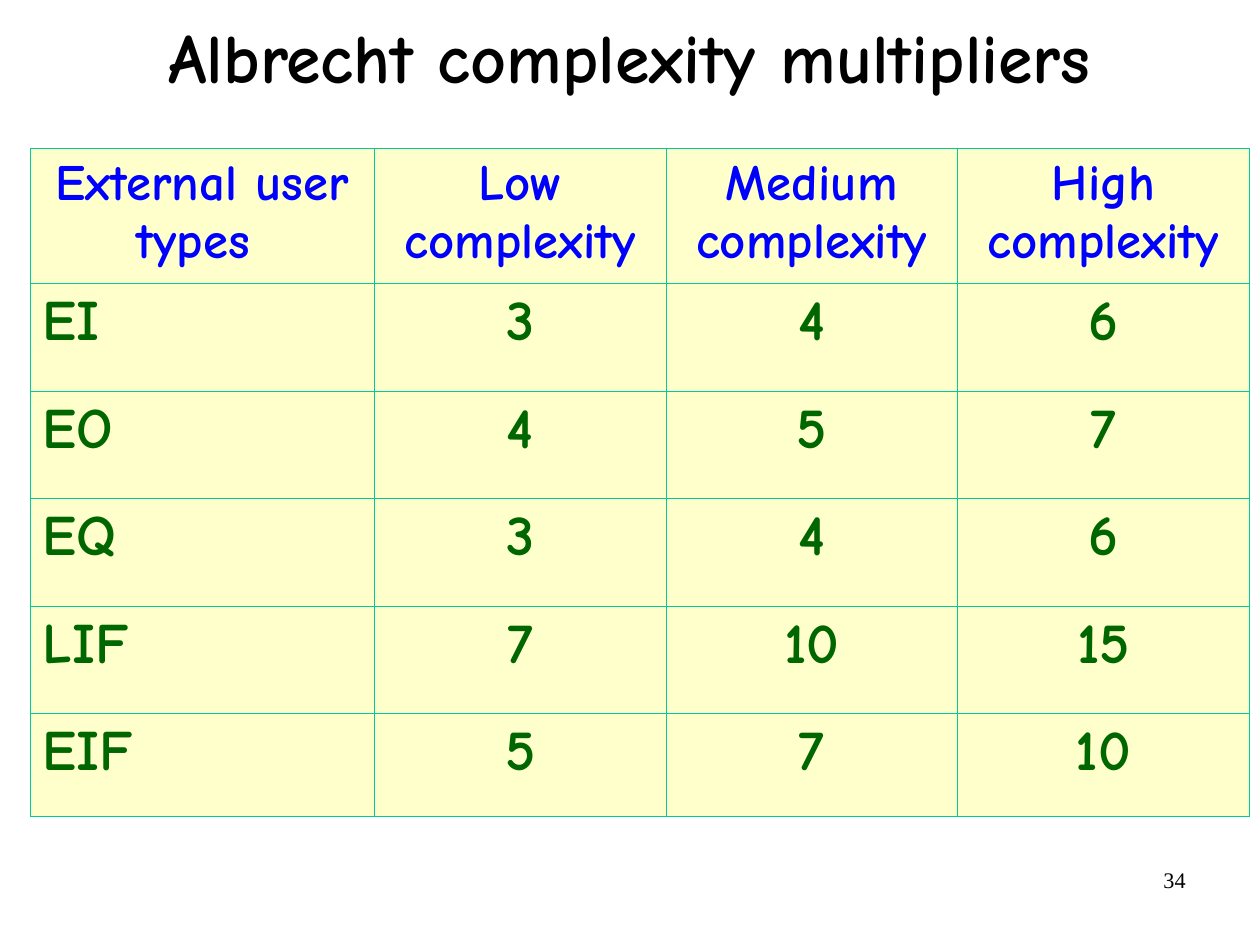
from dataclasses import dataclass

from lxml import etree
from pptx import Presentation
from pptx.dml.color import RGBColor
from pptx.enum.text import MSO_ANCHOR, PP_ALIGN
from pptx.oxml.ns import qn
from pptx.util import Cm, Pt

LEFT, MID, RIGHT = PP_ALIGN.LEFT, PP_ALIGN.CENTER, PP_ALIGN.RIGHT
TOP, MIDDLE = MSO_ANCHOR.TOP, MSO_ANCHOR.MIDDLE


@dataclass(frozen=True)
class Theme:
    face: str = "Comic Neue"
    serif: str = "Times New Roman"
    ink: str = "000000"
    head: str = "0000FF"
    body: str = "006600"
    cell: str = "FFFFCC"
    rule: str = "00CC99"
    title_size: int = 44
    head_size: int = 32
    body_size: int = 36
    page_size: int = 14
    rule_size: float = 0.45


THEME = Theme()

ROWS = [
    ("External user types ", "Low complexity", "Medium complexity", "High complexity"),
    ("EI", "3", "4", "6"),
    ("EO", "4", "5", "7"),
    ("EQ", "3", "4", "6"),
    ("LIF", "7", "10", "15"),
    ("EIF", "5", "7", "10"),
]
WIDTHS = [7.65] + [6.48] * 3
HEIGHTS = [3] + [2.39] * 4 + [2.28]


def write(frame, text, size, color, align, face=THEME.face, bold=True):
    frame.word_wrap = True
    para = frame.paragraphs[0]
    para.text = text
    para.alignment = align
    font = para.runs[0].font
    font.name, font.size, font.bold = face, Pt(size), bold
    font.color.rgb = RGBColor.from_string(color)
    return para


def inset(item, side, edge):
    item.margin_left = item.margin_right = Cm(side)
    item.margin_top = item.margin_bottom = Cm(edge)


def add_title(slide, left, top, width, height):
    box = slide.shapes.add_textbox(Cm(left), Cm(top), Cm(width), Cm(height))
    frame = box.text_frame
    inset(frame, 0, 0)
    frame.vertical_anchor = MIDDLE
    para = write(frame, "Albrecht complexity multipliers",
                 THEME.title_size, THEME.ink, MID)
    para.line_spacing = 0.92


def add_page(slide, left, top, width, height):
    """Place the slide number."""
    box = slide.shapes.add_textbox(Cm(left), Cm(top), Cm(width), Cm(height))
    inset(box.text_frame, 0.25, 0.13)
    write(box.text_frame, "34", THEME.page_size, THEME.ink, RIGHT,
          THEME.serif, False)


def frame_cell(cell):
    """Draw the four borders of a cell; call before its fill is set."""
    props = cell._tc.get_or_add_tcPr()
    for side in ("lnL", "lnR", "lnT", "lnB"):
        line = etree.SubElement(props, qn(f"a:{side}"), w=str(Pt(THEME.rule_size)))
        fill = etree.SubElement(line, qn("a:solidFill"))
        etree.SubElement(fill, qn("a:srgbClr"), val=THEME.rule)


def add_grid(slide, left, top):
    shape = slide.shapes.add_table(len(ROWS), len(WIDTHS), Cm(left), Cm(top),
                                   Cm(sum(WIDTHS)), Cm(sum(HEIGHTS)))
    table = shape.table
    table.first_row = table.horz_banding = False
    for col, width in zip(table.columns, WIDTHS):
        col.width = Cm(width)
    for row, height in zip(table.rows, HEIGHTS):
        row.height = Cm(height)
    for r, row in enumerate(ROWS):
        size, color = ((THEME.body_size, THEME.body) if r
                       else (THEME.head_size, THEME.head))
        for c, text in enumerate(row):
            cell = table.cell(r, c)
            frame_cell(cell)
            cell.fill.solid()
            cell.fill.fore_color.rgb = RGBColor.from_string(THEME.cell)
            inset(cell, 0.28, 0.13)
            cell.vertical_anchor = TOP
            write(cell.text_frame, text, size, color,
                  LEFT if r and c == 0 else MID)


def main():
    deck = Presentation()
    deck.slide_width, deck.slide_height = Cm(28), Cm(21)
    slide = deck.slides.add_slide(deck.slide_layouts[6])
    add_page(slide, 20.07, 19.13, 6.53, 1.45)
    add_title(slide, 1.4, 0, 25.2, 2.69)
    add_grid(slide, 0.67, 3.3)
    deck.save("out.pptx")


if __name__ == "__main__":
    main()
